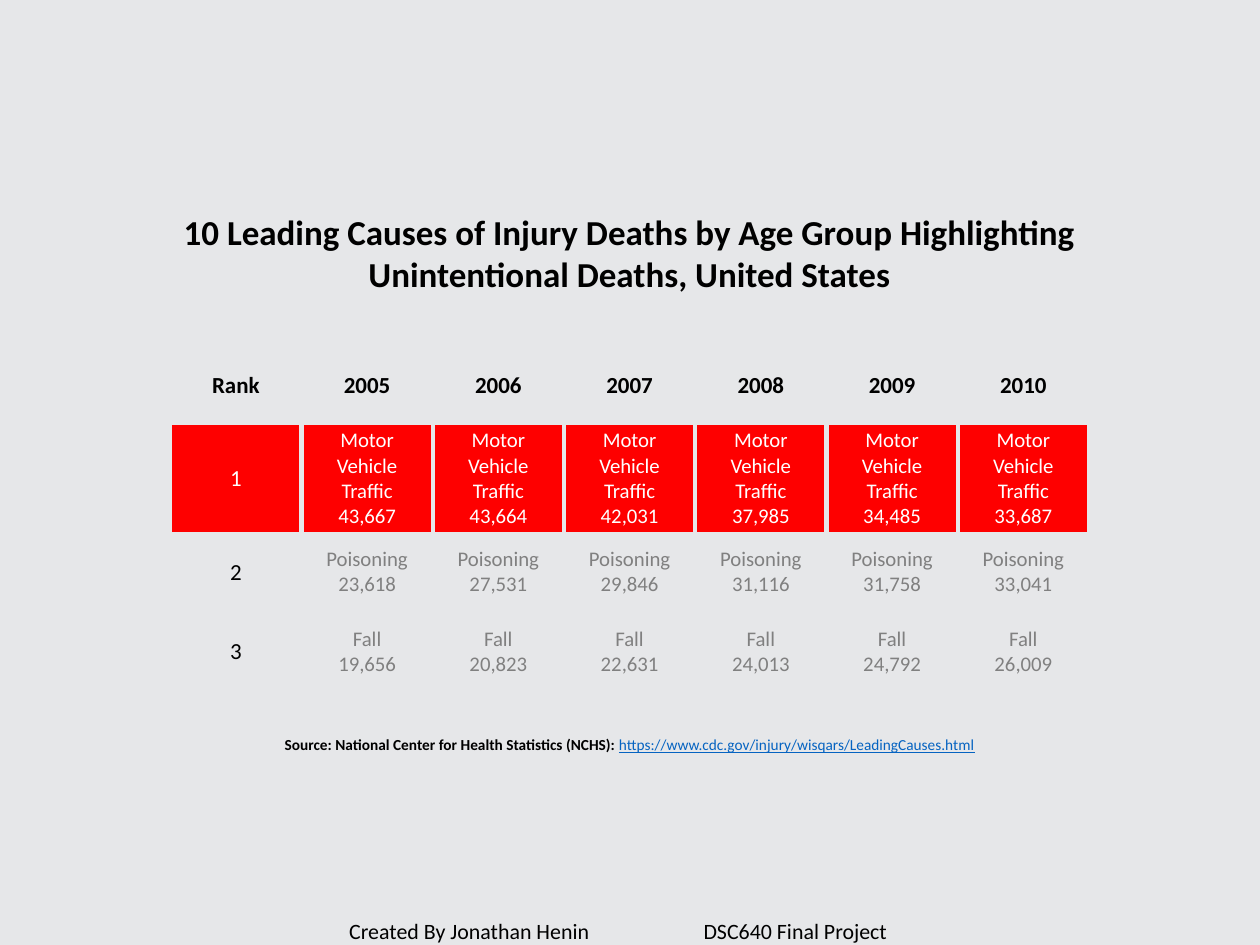
from pptx import Presentation
from pptx.dml.color import RGBColor as RGB
from pptx.enum.text import MSO_ANCHOR as ANCHOR, MSO_AUTO_SIZE as AUTO, PP_ALIGN as ALIGN
from pptx.util import Emu, Pt

COLORS = {"back": "E6E7E9", "text": "000000", "accent": "FE0000",
          "light": "FFFFFF", "muted": "808080", "link": "0563C1"}
NO_GRID = "{2D5ABB26-0587-4C30-8999-92F81FD0307C}"
ROW_HEIGHTS = [97, 131, 97, 97]
CAUSES = ["Motor Vehicle Traffic", "Poisoning", "Fall"]
DEATHS = {
    "2005": ["43,667", "23,618", "19,656"],
    "2006": ["43,664", "27,531", "20,823"],
    "2007": ["42,031", "29,846", "22,631"],
    "2008": ["37,985", "31,116", "24,013"],
    "2009": ["34,485", "31,758", "24,792"],
    "2010": ["33,687", "33,041", "26,009"],
}


def px(n):
    return Emu(n * 9525)


class Deck:
    """Slide builder with one font and one palette."""

    def __init__(self, prs, font="Calibri"):
        self.font = font
        self.s = prs.slides.add_slide(prs.slide_layouts[6])
        self.paint(self.s.background.fill, "back")

    def paint(self, fill, color):
        fill.solid()
        fill.fore_color.rgb = RGB.from_string(COLORS[color])

    def style(self, r, size, color="text", bold=False, underline=None):
        f = r.font
        f.name, f.size, f.bold, f.underline = self.font, Pt(size), bold, underline
        f.color.rgb = RGB.from_string(COLORS[color])

    def set_text(self, tf, text, size, color="text", bold=False):
        tf.text = text
        for p in tf.paragraphs:
            p.alignment = ALIGN.CENTER
            for r in p.runs:
                self.style(r, size, color, bold)

    def textbox(self, x, y, w, h, text, size, bold=False):
        tf = self.s.shapes.add_textbox(px(x), px(y), px(w), px(h)).text_frame
        tf.word_wrap = True
        tf.auto_size = AUTO.SHAPE_TO_FIT_TEXT
        self.set_text(tf, text, size, bold=bold)
        return tf

    def column(self, x, y, w, header, entries, size, color):
        shape = self.s.shapes.add_table(len(ROW_HEIGHTS), 1, px(x), px(y),
                                        px(w), px(sum(ROW_HEIGHTS)))
        table = shape.table
        table.first_row = table.horz_banding = False
        table._tbl.tblPr[0].text = NO_GRID
        for i, (text, height) in enumerate(zip([header] + entries, ROW_HEIGHTS)):
            table.rows[i].height = px(height)
            cell = table.cell(i, 0)
            cell.vertical_anchor = ANCHOR.MIDDLE
            cell.margin_top = cell.margin_bottom = px(3)
            self.paint(cell.fill, "accent" if i == 1 else "back")
            ink = ["text", "light"][i] if i < 2 else color
            self.set_text(cell.text_frame, text, size if i else 21, ink, bold=i == 0)


def main():
    prs = Presentation()
    prs.slide_width, prs.slide_height = px(1536), px(1152)
    deck = Deck(prs)

    deck.textbox(90, 252, 1355, 113,
                 "10 Leading Causes of Injury Deaths by Age Group Highlighting\n"
                 "Unintentional Deaths, United States", 32, bold=True)

    deck.column(210, 421, 155, "Rank", ["1", "2", "3"], 21, "text")
    for i, (year, counts) in enumerate(DEATHS.items(), 1):
        entries = [f"{cause}\n{count}" for cause, count in zip(CAUSES, counts)]
        deck.column(210 + 160 * i, 421, 155, year, entries, 19, "muted")

    tf = deck.textbox(90, 892, 1355, 33,
                      "Source: National Center for Health Statistics (NCHS): ", 14, bold=True)
    r = tf.paragraphs[0].add_run()
    r.text = "https://www.cdc.gov/injury/wisqars/LeadingCauses.html"
    deck.style(r, 14, "link", underline=True)

    deck.textbox(174, 1114, 1159, 42,
                 "Created By Jonathan Henin\t\t\tDSC640 Final Project", 20)

    prs.save("out.pptx")


if __name__ == "__main__":
    main()
